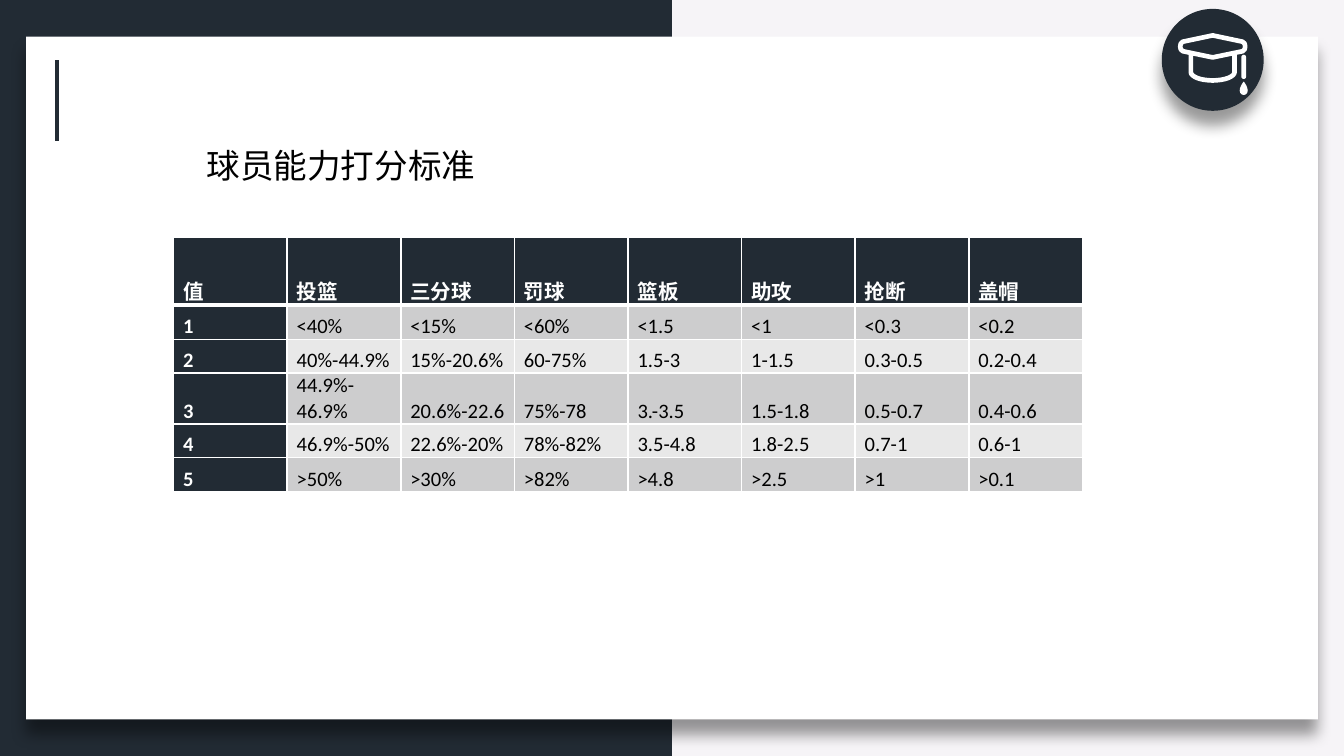
from math import cos, pi, sin

from lxml.etree import SubElement
from pptx import Presentation
from pptx.dml.color import RGBColor
from pptx.enum.shapes import MSO_CONNECTOR as Link, MSO_SHAPE as Kind
from pptx.enum.text import MSO_ANCHOR as Anchor, PP_ALIGN as Align
from pptx.oxml.ns import qn
from pptx.util import Pt

NAVY = RGBColor(0x22, 0x2B, 0x34)
WHITE = RGBColor(0xFF, 0xFF, 0xFF)
BLACK = RGBColor(0x00, 0x00, 0x00)
PALE = RGBColor(0xF6, 0xF4, 0xF7)
BANDS = (RGBColor(0xCD, 0xCD, 0xCE), RGBColor(0xE8, 0xE8, 0xE8))
FONT = "Calibri"
WIDE, HIGH = 720, 405

HEADS = ["值", "投篮", "三分球", "罚球", "篮板", "助攻", "抢断", "盖帽"]
SCORES = [
    ["1", "<40%", "<15%", "<60%", "<1.5", "<1", "<0.3", "<0.2"],
    ["2", "40%-44.9%", "15%-20.6%", "60-75%", "1.5-3", "1-1.5", "0.3-0.5", "0.2-0.4"],
    ["3", "44.9%-46.9%", "20.6%-22.6", "75%-78", "3.-3.5", "1.5-1.8", "0.5-0.7", "0.4-0.6"],
    ["4", "46.9%-50%", "22.6%-20%", "78%-82%", "3.5-4.8", "1.8-2.5", "0.7-1", "0.6-1"],
    ["5", ">50%", ">30%", ">82%", ">4.8", ">2.5", ">1", ">0.1"],
]
ROWS = [36.5, 18.5, 18, 18.5, 18, 18.5]


def add_shape(shapes, kind, box, fill):
    """Add a plain filled preset shape."""
    shape = shapes.add_shape(kind, *map(Pt, box))
    shape.shadow.inherit = False
    shape.fill.solid()
    shape.fill.fore_color.rgb = fill
    shape.line.fill.background()
    return shape


def add_shade(shape):
    """Give a shape a soft shadow straight below it."""
    effects = shape._element.spPr.find(qn("a:effectLst"))
    shade = SubElement(effects, qn("a:outerShdw"), blurRad=str(Pt(8)),
                       dist=str(Pt(8)), dir="5400000", algn="t", rotWithShape="0")
    tint = SubElement(shade, qn("a:srgbClr"), val=str(BLACK))
    SubElement(tint, qn("a:alpha"), val="40000")


def add_path(shapes, left, top, points, close, stroke=0):
    """Draw points from a corner as a white outline, or filled if no stroke."""
    spots = [(Pt(left + x), Pt(top + y)) for x, y in points]
    pen = shapes.build_freeform(*spots[0], scale=1.0)
    pen.add_line_segments(spots[1:], close=close)
    shape = pen.convert_to_shape()
    shape.shadow.inherit = False
    if stroke:
        shape.fill.background()
        shape.line.color.rgb = WHITE
        shape.line.width = Pt(stroke)
    else:
        shape.fill.solid()
        shape.fill.fore_color.rgb = WHITE
        shape.line.fill.background()


def add_frame(slide, box):
    """Draw the dark half, the white card and its accent line."""
    left, top, width, height = box
    shapes = slide.shapes
    add_shape(shapes, Kind.RECTANGLE, (left, top, width / 2, height), NAVY)
    card = (left + 14, top + 19.6, width - 28, height - 39.2)
    add_shade(add_shape(shapes, Kind.RECTANGLE, card, WHITE))
    x = left + 30.7
    mark = shapes.add_connector(Link.STRAIGHT, Pt(x), Pt(top + 32.2), Pt(x), Pt(top + 75.5))
    mark.line.color.rgb = NAVY
    mark.line.width = Pt(2.25)
    SubElement(mark._element.spPr, qn("a:effectLst"))


def add_badge(slide, box):
    """Draw the round badge with its graduation cap."""
    left, top, width, height = box
    shapes = slide.shapes.add_group_shape().shapes
    add_shade(add_shape(shapes, Kind.OVAL, box, NAVY))
    mid = width / 2
    half = [(0, 14.2), (16, 17.6), (17.1, 18.6), (17.4, 20.2),
            (17.1, 21.7), (16, 22.7), (0, 26)]
    board = [(mid + x, y) for x, y in half]
    board += [(mid - x, y) for x, y in half[-2:0:-1]]
    add_path(shapes, left, top, board, True, 2.5)
    turns = [pi * step / 16 for step in range(17)]
    bowl = [(mid - 11.7 * cos(t), 33.8 + 4.5 * sin(t)) for t in turns]
    bowl = [(mid - 11.7, 24.5)] + bowl + [(mid + 11.7, 24.5)]
    add_path(shapes, left, top, bowl, False, 2.5)
    cord = add_shape(shapes, Kind.ROUNDED_RECTANGLE, (left + 42.6, top + 24.5, 2.6, 13), WHITE)
    cord.adjustments[0] = 0.5
    drop = [(43.9 + 2.8 * sin(2 * t) * sin(t), 42.5 - 3.6 * cos(2 * t)) for t in turns]
    add_path(shapes, left, top, drop, True)


def add_title(slide, box):
    """Place the heading."""
    frame = slide.shapes.add_textbox(*map(Pt, box)).text_frame
    frame.word_wrap = True
    frame.text = "球员能力打分标准"
    font = frame.paragraphs[0].runs[0].font
    font.name, font.size, font.color.rgb = FONT, Pt(18), BLACK


def add_edge(cell, side, width):
    """Draw one white border of a cell."""
    edge = SubElement(cell._tc.get_or_add_tcPr(), qn("a:ln" + side), w=str(Pt(width)))
    SubElement(SubElement(edge, qn("a:solidFill")), qn("a:srgbClr"), val=str(WHITE))


def fill_cell(cell, text, row, col):
    """Write and style one cell by its place in the grid."""
    for side in "LRTB":
        thick = (row, side) in ((0, "B"), (1, "T"))
        add_edge(cell, side, 3 if thick else 1)
    dark = row == 0 or col == 0
    cell.fill.solid()
    cell.fill.fore_color.rgb = NAVY if dark else BANDS[(row - 1) % 2]
    cell.vertical_anchor = Anchor.BOTTOM
    cell.margin_left = cell.margin_right = Pt(5.1)
    cell.margin_top = cell.margin_bottom = 0
    cell.text = text
    line = cell.text_frame.paragraphs[0]
    line.alignment = Align.JUSTIFY
    font = line.runs[0].font
    font.name, font.size, font.bold = FONT, Pt(11), dark
    font.color.rgb = WHITE if dark else BLACK


def add_scores(slide, box):
    """Build the table of scoring bands."""
    grid = [HEADS] + SCORES
    table = slide.shapes.add_table(len(grid), len(HEADS), *map(Pt, box)).table
    for col in table.columns:
        col.width = Pt(box[2] / len(HEADS))
    for row, (height, texts) in enumerate(zip(ROWS, grid)):
        table.rows[row].height = Pt(height)
        for col, text in enumerate(texts):
            fill_cell(table.cell(row, col), text, row, col)


def main():
    """Build the slide and save it."""
    deck = Presentation()
    deck.slide_width, deck.slide_height = Pt(WIDE), Pt(HIGH)
    slide = deck.slides.add_slide(deck.slide_layouts[6])
    slide.background.fill.solid()
    slide.background.fill.fore_color.rgb = PALE
    add_frame(slide, (0, 0, WIDE, HIGH))
    add_badge(slide, (622.4, 4.8, 54.6, 54.6))
    add_scores(slide, (93, 126.9, 487, sum(ROWS)))
    add_title(slide, (103.6, 74.2, 221, 29))
    deck.save("out.pptx")


if __name__ == "__main__":
    main()
